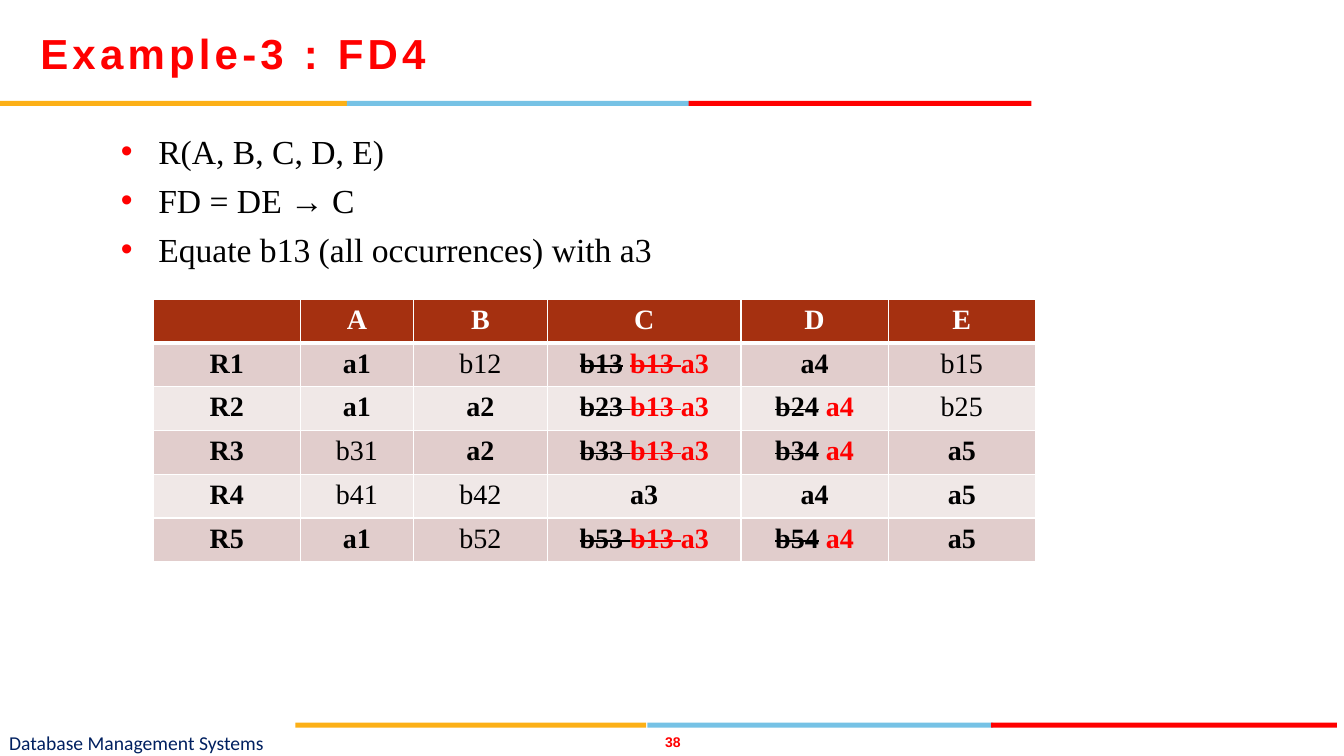
from dataclasses import dataclass

from lxml import etree
from pptx import Presentation
from pptx.dml.color import RGBColor
from pptx.enum import shapes, text
from pptx.oxml import ns
from pptx.util import Inches, Pt


@dataclass(frozen=True)
class Theme:
    red: str = "FF0000"
    blue: str = "76C2E5"
    amber: str = "FCB017"
    navy: str = "002060"
    black: str = "000000"
    white: str = "FFFFFF"
    header: str = "A53010"
    bands: tuple[str, str] = ("E1CDCC", "F0E8E7")
    sans: str = "Arial"
    serif: str = "Times New Roman"
    footer: str = "Calibri"
    title_size: int = 30
    body_size: int = 24
    table_size: int = 20
    footer_size: int = 14
    number_size: int = 10


T = Theme()


@dataclass(frozen=True)
class Run:
    text: str
    font: str = T.serif
    size: int = T.table_size
    color: str = T.black
    bold: bool = False
    strike: bool = False
    spacing: int = 0


@dataclass(frozen=True)
class Bar:
    x: float
    y: float
    w: float
    color: str


Cell = tuple[Run, ...]

BARS = [
    Bar(0, 1, 3.44, T.amber),
    Bar(3.44, 1, 3.4, T.blue),
    Bar(6.83, 1, 3.4, T.red),
    Bar(2.93, 7.17, 3.48, T.amber),
    Bar(6.42, 7.17, 3.43, T.blue),
    Bar(9.83, 7.17, 3.43, T.red),
]
BULLETS = ["R(A, B, C, D, E)", "FD = DE → C", "Equate b13 (all occurrences) with a3"]
COLUMNS = [1.46, 1.12, 1.33, 1.92, 1.46, 1.46]
ROW_HEIGHT = 0.41


def symbol(name: str) -> Cell:
    """Row labels and distinguished (a) symbols are bold, b symbols are not."""
    return (Run(name, bold=not name.startswith("b")),)


def to_a3(first: str) -> Cell:
    """A C value struck out twice on its way to a3."""
    return (Run(first + " ", bold=True, strike=True),
            Run("b13 ", color=T.red, bold=True, strike=True),
            Run("a3", color=T.red, bold=True))


def to_a4(first: str) -> Cell:
    """A D value struck out once and replaced by a4."""
    return (Run(first, bold=True, strike=True), Run(" ", bold=True),
            Run("a4", color=T.red, bold=True))


B13_TO_A3: Cell = (Run("b13", bold=True, strike=True), Run(" ", bold=True)) + to_a3("b13")[1:]

ROWS: list[list[str | Cell]] = [
    ["R1", "a1", "b12", B13_TO_A3, "a4", "b15"],
    ["R2", "a1", "a2", to_a3("b23"), to_a4("b24"), "b25"],
    ["R3", "b31", "a2", to_a3("b33"), to_a4("b34"), "a5"],
    ["R4", "b41", "b42", "a3", "a4", "a5"],
    ["R5", "a1", "b52", to_a3("b53"), to_a4("b54"), "a5"],
]


def rgb(color: str) -> RGBColor:
    return RGBColor.from_string(color)


def add_xml(parent, tag: str, **attrs: str):
    return etree.SubElement(parent, ns.qn(tag), attrs)


def add_run(p, run: Run) -> None:
    r = p.add_run()
    r.text = run.text
    r.font.name, r.font.size, r.font.bold = run.font, Pt(run.size), run.bold
    r.font.color.rgb = rgb(run.color)
    rPr = r._r.get_or_add_rPr()
    if run.strike:
        rPr.set("strike", "sngStrike")
    if run.spacing:
        rPr.set("spc", str(run.spacing * 100))


def add_bar(s, bar: Bar) -> None:
    sp = s.shapes.add_shape(shapes.MSO_SHAPE.RECTANGLE, Inches(bar.x), Inches(bar.y),
                            Inches(bar.w), Inches(0.05))
    sp.shadow.inherit = False
    sp.fill.solid()
    sp.fill.fore_color.rgb = rgb(bar.color)
    sp.line.fill.background()


def add_box(s, x: float, y: float, w: float, h: float, inset: float = 0,
            anchor=text.MSO_ANCHOR.MIDDLE):
    tf = s.shapes.add_textbox(Inches(x), Inches(y), Inches(w), Inches(h)).text_frame
    tf.word_wrap = True
    tf.vertical_anchor = anchor
    tf.margin_left = tf.margin_right = 0
    tf.margin_top = tf.margin_bottom = Inches(inset)
    return tf


def add_bullets(s) -> None:
    tf = add_box(s, 1.2, 1.25, 9.19, 5.69, 0.05, text.MSO_ANCHOR.TOP)
    for i, line in enumerate(BULLETS):
        p = tf.add_paragraph() if i else tf.paragraphs[0]
        p.alignment = text.PP_ALIGN.JUSTIFY
        p.space_before = Pt(6)
        pPr = p._p.get_or_add_pPr()
        pPr.set("marL", str(Inches(0.37)))
        pPr.set("indent", str(-Inches(0.37)))
        add_xml(add_xml(pPr, "a:buClr"), "a:srgbClr", val=T.red)
        add_xml(pPr, "a:buFont", typeface=T.sans)
        add_xml(pPr, "a:buChar", char="•")
        add_run(p, Run(line, size=T.body_size))


def fill_cell(cell, runs: Cell, fill: str, top: int = 1, bottom: int = 1) -> None:
    """Write the runs; top and bottom are border widths in points."""
    tcPr = cell._tc.get_or_add_tcPr()
    for side, width in (("L", 1), ("R", 1), ("T", top), ("B", bottom)):
        ln = add_xml(tcPr, f"a:ln{side}", w=str(Pt(width)))
        add_xml(add_xml(ln, "a:solidFill"), "a:srgbClr", val=T.white)
    cell.fill.solid()
    cell.fill.fore_color.rgb = rgb(fill)
    p = cell.text_frame.paragraphs[0]
    p.alignment = text.PP_ALIGN.CENTER
    for run in runs:
        add_run(p, run)


def add_tableau(s) -> None:
    n = len(ROWS) + 1
    tbl = s.shapes.add_table(n, len(COLUMNS), Inches(1.52), Inches(2.97),
                             Inches(sum(COLUMNS)), Inches(n * ROW_HEIGHT)).table
    for col, width in zip(tbl.columns, COLUMNS):
        col.width = Inches(width)
    for row in tbl.rows:
        row.height = Inches(ROW_HEIGHT)
    for j, name in enumerate(["", *"ABCDE"]):
        runs = (Run(name, color=T.white, bold=True),) if name else ()
        fill_cell(tbl.cell(0, j), runs, T.header, bottom=3)
    for i, values in enumerate(ROWS):
        for j, value in enumerate(values):
            runs = symbol(value) if isinstance(value, str) else value
            fill_cell(tbl.cell(i + 1, j), runs, T.bands[i % 2], top=1 if i else 3)


def main() -> None:
    prs = Presentation()
    prs.slide_width, prs.slide_height = Inches(13.33), Inches(7.5)
    s = prs.slides.add_slide(prs.slide_layouts[6])
    for bar in BARS:
        add_bar(s, bar)
    add_run(add_box(s, 0.09, 7.23, 4.96, 0.27).paragraphs[0],
            Run("Database Management Systems", T.footer, T.footer_size, T.navy))
    p = add_box(s, 6.51, 7.28, 0.33, 0.17).paragraphs[0]
    p.alignment = text.PP_ALIGN.CENTER
    add_run(p, Run("38", T.sans, T.number_size, T.red, bold=True))
    add_run(add_box(s, 0.4, 0.1, 9.99, 0.85).paragraphs[0],
            Run("Example-3 : FD4", T.sans, T.title_size, T.red, bold=True, spacing=3))
    add_bullets(s)
    add_tableau(s)
    prs.save("out.pptx")


if __name__ == "__main__":
    main()
